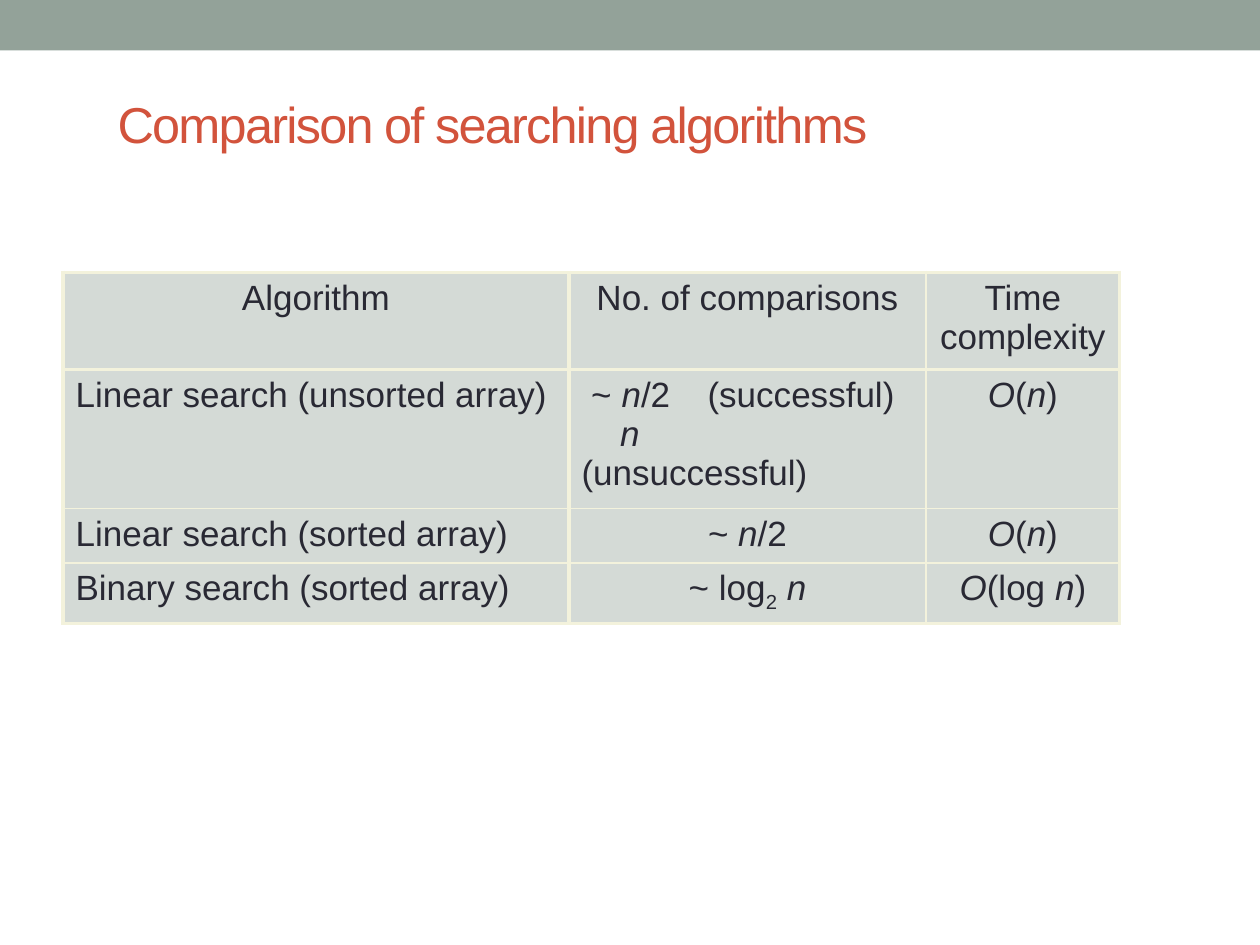
import pptx
import pptx.dml.color
import pptx.enum.shapes
import pptx.enum.text
import pptx.oxml
import pptx.oxml.ns
import pptx.util
from pptx.util import Cm

COLORS = {
    "band": "93A299",
    "title": "D2533C",
    "text": "292934",
    "cell": "D4DAD6",
    "border": "F3F2DC",
}
BODY_FORMAT = {"name": "Arial", "size": pptx.util.Pt(20)}
TITLE_FORMAT = {"name": "Arial", "size": pptx.util.Pt(28.8)}
ITALIC = {"italic": True}

# Table geometry; the edge widths are in points, from first edge to last
COLUMN_WIDTHS = [10.2, 7.2, 3.9]
ROW_HEIGHTS = [1.96, 1.96, 1.09, 1.09]
COLUMN_EDGES = [2.25, 2.25, 1, 2.25]
ROW_EDGES = [2.25, 2.25, 1, 1, 2.25]

# Each cell is a list of paragraphs, each paragraph a list of (text, format) runs
N = ("n", ITALIC)
LINE_BREAK = ("\v", {})
LINEAR_TIME = [[("O", ITALIC), ("(", {}), N, (")", {})]]
ROWS = [
    [[[("Algorithm", {})]], [[("No. of comparisons", {})]], [[("Time complexity", {})]]],
    [
        [[("Linear search (unsorted array)", {})]],
        [[(" ~ ", {}), N, ("/2\t(successful)", {})],
         [N, LINE_BREAK, ("(unsuccessful)", {})]],
        LINEAR_TIME,
    ],
    [[[("Linear search (sorted array)", {})]], [[("~ ", {}), N, ("/2", {})]], LINEAR_TIME],
    [
        [[("Binary search (sorted array)", {})]],
        [[("~ log", {}), ("2", {"baseline": "-25000"}), (" ", {}), N]],
        [[("O", ITALIC), ("(log ", {}), N, (")", {})]],
    ],
]
LEFT_ALIGNED = {(1, 0), (1, 1), (2, 0), (3, 0)}


def set_fill(target, color):
    target.fill.solid()
    target.fill.fore_color.rgb = pptx.dml.color.RGBColor.from_string(COLORS[color])


def add_run(paragraph, text, color, formats):
    run = paragraph.add_run()
    run.text = text
    for name, value in formats.items():
        if name in ("baseline", "spc"):
            run.font._element.set(name, value)
        else:
            setattr(run.font, name, value)
    run.font.color.rgb = pptx.dml.color.RGBColor.from_string(COLORS[color])


def add_band(slide, width):
    band = slide.shapes.add_shape(
        pptx.enum.shapes.MSO_SHAPE.RECTANGLE, 0, 0, width, Cm(1.02))
    band.shadow.inherit = False
    set_fill(band, "band")
    band.line.fill.background()


def add_title(slide, text):
    title = slide.shapes.add_textbox(Cm(2.12), Cm(1.49), Cm(17.07), Cm(2.01))
    frame = title.text_frame
    frame.word_wrap = True
    frame.vertical_anchor = pptx.enum.text.MSO_ANCHOR.MIDDLE
    add_run(frame.paragraphs[0], text, "title", {**TITLE_FORMAT, "spc": "-100"})


def set_borders(cell, widths):
    properties = cell._tc.get_or_add_tcPr()
    for side, width in widths.items():
        properties.append(pptx.oxml.parse_xml(
            f'<a:ln{side} {pptx.oxml.ns.nsdecls("a")} w="{pptx.util.Pt(width)}">'
            f'<a:solidFill><a:srgbClr val="{COLORS["border"]}"/></a:solidFill>'
            f'</a:ln{side}>'))


def fill_cell(cell, paragraphs, alignment):
    frame = cell.text_frame
    for index, runs in enumerate(paragraphs):
        paragraph = frame.add_paragraph() if index else frame.paragraphs[0]
        paragraph.alignment = alignment
        if index:  # a further case starts under the first one's formula
            paragraph._p.get_or_add_pPr().set("indent", str(Cm(0.78)))
        for text, formats in runs:
            if (text, formats) == LINE_BREAK:
                paragraph.add_line_break()
            else:
                add_run(paragraph, text, "text", {**BODY_FORMAT, **formats})


def add_comparison_table(slide):
    table = slide.shapes.add_table(
        len(ROWS), len(COLUMN_WIDTHS), Cm(1.27), Cm(5.49),
        Cm(sum(COLUMN_WIDTHS)), Cm(sum(ROW_HEIGHTS))).table
    table.first_row = table.horz_banding = False
    for column, width in zip(table.columns, COLUMN_WIDTHS):
        column.width = Cm(width)
    for row, height in zip(table.rows, ROW_HEIGHTS):
        row.height = Cm(height)

    align = pptx.enum.text.PP_ALIGN
    for i, row in enumerate(ROWS):
        for j, paragraphs in enumerate(row):
            cell = table.cell(i, j)
            set_borders(cell, {"L": COLUMN_EDGES[j], "R": COLUMN_EDGES[j + 1],
                               "T": ROW_EDGES[i], "B": ROW_EDGES[i + 1]})
            set_fill(cell, "cell")
            fill_cell(cell, paragraphs,
                      align.LEFT if (i, j) in LEFT_ALIGNED else align.CENTER)


def main():
    presentation = pptx.Presentation()
    presentation.slide_width = Cm(25.4)
    presentation.slide_height = Cm(19.05)
    slide = presentation.slides.add_slide(presentation.slide_layouts[6])

    # Header
    add_band(slide, presentation.slide_width)
    add_title(slide, "Comparison of searching algorithms")

    # Body
    add_comparison_table(slide)

    presentation.save("out.pptx")


if __name__ == "__main__":
    main()
